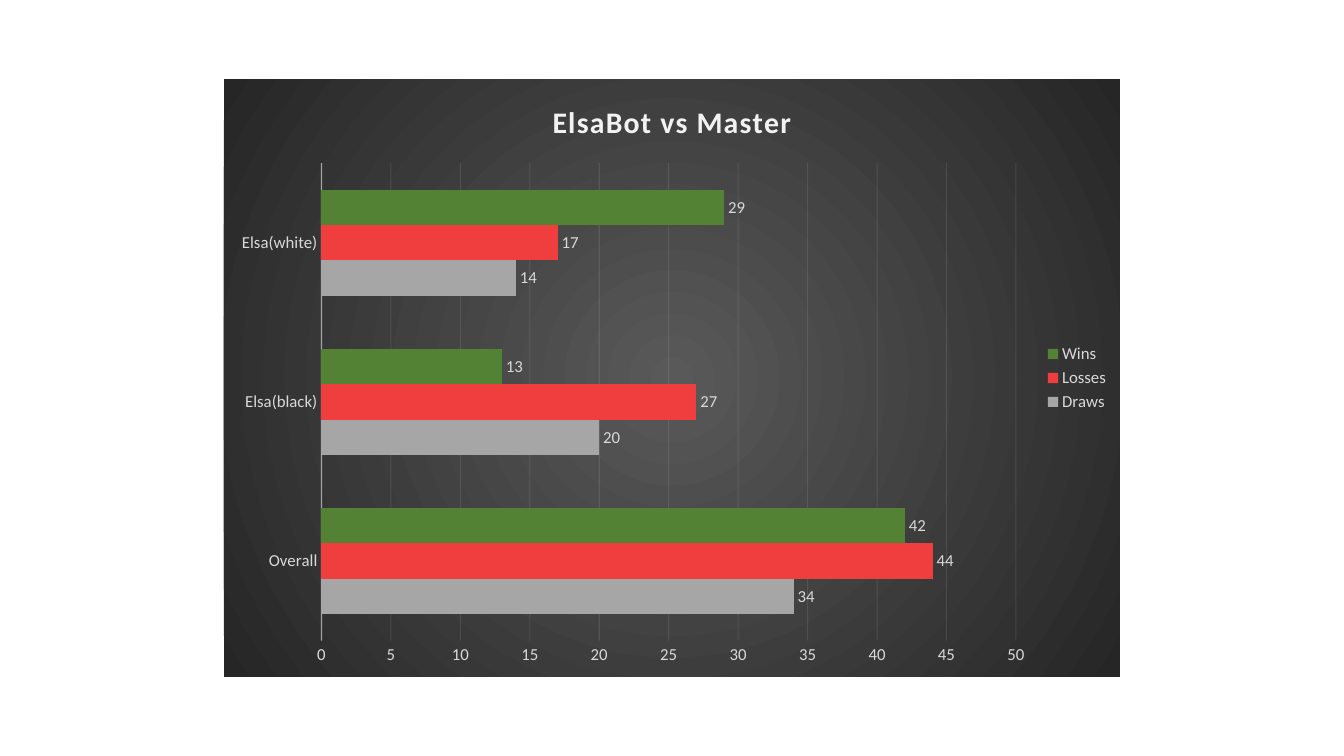
from lxml.etree import SubElement
from pptx import Presentation
from pptx.chart.data import CategoryChartData as Data
from pptx.dml.color import RGBColor
from pptx.enum.chart import XL_CHART_TYPE as Kind
from pptx.enum.chart import XL_LABEL_POSITION as Spot
from pptx.enum.chart import XL_LEGEND_POSITION as Side
from pptx.enum.chart import XL_TICK_MARK as Tick
from pptx.oxml import parse_xml
from pptx.oxml.ns import nsdecls, qn
from pptx.util import Pt

GROUPS = ["Overall", "Elsa(black)", "Elsa(white)"]
RESULTS = [
    ("Draws", [34, 20, 14], "A6A6A6"),
    ("Losses", [44, 27, 17], "F03E3E"),
    ("Wins", [42, 13, 29], "548235"),
]


def color(code):
    """Turn a hex string into a colour."""
    return RGBColor.from_string(code)


def put(item, values):
    """Set each attribute of item from a dict."""
    for name, value in values.items():
        setattr(item, name, value)


class Deck:
    """Holds the style and the current slide."""

    face = "Calibri"
    pale = "D9D9D9"
    light = "F2F2F2"
    glow = [(0, "595959"), (100, "262626")]

    def __init__(self, wide, high):
        """Open a deck with one blank slide."""
        self.show = Presentation()
        put(self.show, {"slide_width": Pt(wide), "slide_height": Pt(high)})
        self.slide = self.show.slides.add_slide(self.show.slide_layouts[6])

    def font(self, font, size, code, bold=False):
        """Style a font."""
        put(font, {"name": self.face, "size": Pt(size), "bold": bold})
        font.color.rgb = color(code)

    def line(self, line, width, alpha):
        """Draw a light line with the given opacity in percent."""
        line.width = Pt(width)
        line.color.rgb = color(self.light)
        tone = line.fill._xPr.find(".//" + qn("a:srgbClr"))
        SubElement(tone, qn("a:alpha")).set("val", str(alpha * 1000))

    def back(self, chart):
        """Fill the chart area with a round gradient."""
        stops = "".join(
            f'<a:gs pos="{spot * 1000}"><a:srgbClr val="{code}"/></a:gs>'
            for spot, code in self.glow)
        space = chart._chartSpace
        space.find(qn("c:chart")).addnext(parse_xml(
            f'<c:spPr {nsdecls("c", "a")}><a:gradFill><a:gsLst>{stops}</a:gsLst>'
            '<a:path path="circle"><a:fillToRect l="50000" t="50000" '
            'r="50000" b="50000"/></a:path></a:gradFill>'
            '<a:ln><a:noFill/></a:ln></c:spPr>'))

    def title(self, chart, text):
        """Write the spaced bold chart title."""
        chart.has_title = True
        chart.chart_title.include_in_layout = False
        frame = chart.chart_title.text_frame
        frame.text = text
        font = frame.paragraphs[0].runs[0].font
        self.font(font, 21.3, self.light, True)
        font._element.set("spc", "100")

    def axes(self, chart):
        """Style both axes and the grid."""
        groups, scale = chart.category_axis, chart.value_axis
        for axis in (groups, scale):
            put(axis, {"major_tick_mark": Tick.NONE,
                       "minor_tick_mark": Tick.NONE})
            self.font(axis.tick_labels.font, 12, self.pale)
        self.line(groups.format.line, 1, 54)
        scale.format.line.fill.background()
        scale.has_major_gridlines = True
        self.line(scale.major_gridlines.format.line, 0.75, 10)

    def bars(self, box, text, groups, rows):
        """Add a clustered bar chart with value labels and a legend."""
        data = Data()
        data.categories = groups
        for name, values, _ in rows:
            data.add_series(name, values)
        chart = self.slide.shapes.add_chart(
            Kind.BAR_CLUSTERED, *map(Pt, box), data).chart
        self.font(chart.font, 10, self.pale)
        self.back(chart)
        self.title(chart, text)
        self.axes(chart)
        chart.has_legend = True
        put(chart.legend, {"position": Side.RIGHT, "include_in_layout": False})
        self.font(chart.legend.font, 12, self.pale)
        plot = chart.plots[0]
        put(plot, {"gap_width": 150, "vary_by_categories": False})
        for series, (_, _, code) in zip(plot.series, rows):
            series.format.fill.solid()
            series.format.fill.fore_color.rgb = color(code)
            put(series.data_labels, {"show_value": True,
                                     "position": Spot.OUTSIDE_END})
            self.font(series.data_labels.font, 12, self.pale)


deck = Deck(960, 540)
deck.bars((160, 56.67, 640, 426.67), "ElsaBot vs Master", GROUPS, RESULTS)
deck.show.save("out.pptx")
